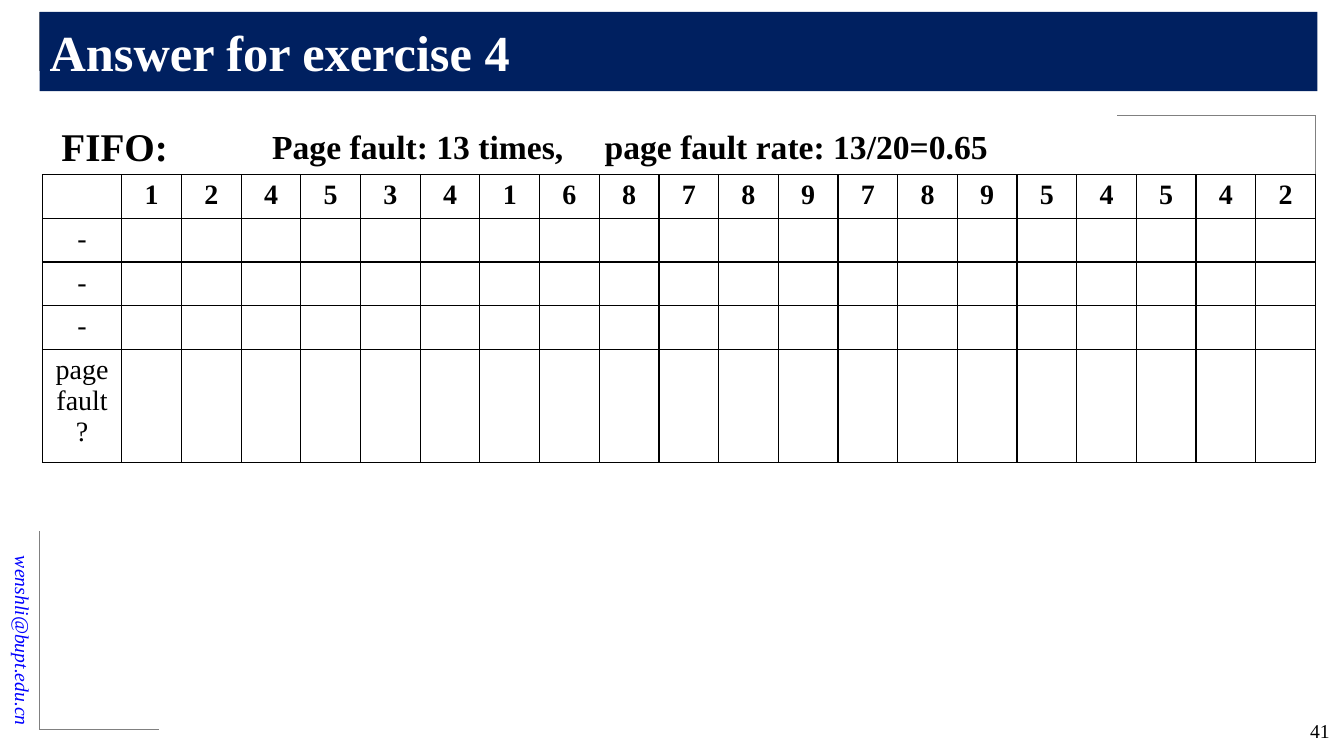
from dataclasses import dataclass

from lxml import etree
from pptx import Presentation
from pptx.dml.color import RGBColor
from pptx.enum.shapes import MSO_CONNECTOR, MSO_SHAPE
from pptx.enum.text import MSO_ANCHOR, PP_ALIGN
from pptx.oxml.ns import qn
from pptx.util import Cm, Pt

LEFT, CENTER, RIGHT = PP_ALIGN.LEFT, PP_ALIGN.CENTER, PP_ALIGN.RIGHT
TOP, MIDDLE = MSO_ANCHOR.TOP, MSO_ANCHOR.MIDDLE
STRAIGHT = MSO_CONNECTOR.STRAIGHT
RECTANGLE = MSO_SHAPE.RECTANGLE


@dataclass(frozen=True)
class Theme:
    font: str = "Times New Roman"
    navy: str = "002060"
    white: str = "FFFFFF"
    black: str = "000000"
    blue: str = "0000FF"
    gray: str = "808080"
    title: int = 36
    policy: int = 28
    result: int = 24
    cell: int = 20
    small: int = 14
    frame_line: float = 0.5
    grid_line: float = 1


THEME = Theme()
REFERENCES = "12453416878978954542"
ROW_LABELS = ["-", "-", "-", "page\vfault\v?"]


def rgb(color):
    return RGBColor.from_string(color)


def write(frame, text, size, color=THEME.black, bold=False, italic=False,
          align=LEFT, anchor=TOP, wrap=True, tab=None):
    frame.word_wrap = wrap
    frame.vertical_anchor = anchor
    paragraph = frame.paragraphs[0]
    paragraph.text = text
    paragraph.alignment = align
    if tab is not None:
        stops = etree.SubElement(paragraph._p.get_or_add_pPr(), qn("a:tabLst"))
        etree.SubElement(stops, qn("a:tab"), pos=str(tab), algn="l")
    for run in paragraph.runs:
        font = run.font
        font.name = THEME.font
        font.size = Pt(size)
        font.bold = bold
        font.italic = italic
        font.color.rgb = rgb(color)


def add_text(slide, box, text, size, **style):
    label = slide.shapes.add_textbox(*map(Cm, box))
    write(label.text_frame, text, size, **style)
    return label


def add_corner(slide, x, y, across, down):
    for end_x, end_y in ((x, y + down), (x + across, y)):
        edge = slide.shapes.add_connector(STRAIGHT, Cm(x), Cm(y), Cm(end_x), Cm(end_y))
        edge.line.color.rgb = rgb(THEME.gray)
        edge.line.width = Pt(THEME.frame_line)
        etree.SubElement(edge._element.spPr, qn("a:effectLst"))


def add_frame(slide, box):
    left, top, width, height = box
    right, bottom = left + width, top + height
    add_corner(slide, left, top, 5, 1.5)
    add_corner(slide, left, bottom, 3, -5)
    add_corner(slide, right, top + 2.6, -5, 3)


def add_title(slide, box, text):
    banner = slide.shapes.add_shape(RECTANGLE, *map(Cm, box))
    banner.shadow.inherit = False
    banner.fill.solid()
    banner.fill.fore_color.rgb = rgb(THEME.navy)
    banner.line.fill.background()
    write(banner.text_frame, text, THEME.title, color=THEME.white, bold=True, anchor=MIDDLE)


def add_margin_notes(slide, box):
    left, top, width, height = box
    email = add_text(slide, (left - 2.77, top + 14.76, 6.7, 0.86), "wenshli@bupt.edu.cn",
                     THEME.small, color=THEME.blue, italic=True, align=RIGHT, anchor=MIDDLE)
    email.rotation = 90
    add_text(slide, (left + width - 2.93, top + height - 1.07, 2.82, 0.91), "41",
             THEME.small, align=RIGHT)


def add_summary(slide, box):
    left, top, width, height = box
    add_text(slide, (left, top, 3.23, height), "FIFO:", THEME.policy,
             bold=True, anchor=MIDDLE, wrap=False)
    add_text(slide, (left + 5.31, top, width - 5.31, height),
             "Page fault: 13 times,\tpage fault rate: 13/20=0.65", THEME.result,
             bold=True, anchor=MIDDLE, tab=Cm(8.38))


def style_cell(cell):
    properties = cell._tc.get_or_add_tcPr()
    for side in ("a:lnL", "a:lnR", "a:lnT", "a:lnB"):
        border = etree.SubElement(properties, qn(side), w=str(Pt(THEME.grid_line)))
        fill = etree.SubElement(border, qn("a:solidFill"))
        etree.SubElement(fill, qn("a:srgbClr"), val=THEME.black)
    cell.fill.solid()
    cell.fill.fore_color.rgb = rgb(THEME.white)


def add_page_table(slide, box):
    left, top, width, height = box
    label_width, row_height = 2, 1.1
    rows, columns = len(ROW_LABELS) + 1, len(REFERENCES) + 1
    table = slide.shapes.add_table(rows, columns, *map(Cm, box)).table
    table.first_row = False
    table.horz_banding = False
    for index, column in enumerate(table.columns):
        column.width = Cm((width - label_width) / len(REFERENCES) if index else label_width)
    for row in table.rows:
        row.height = Cm(row_height)
    table.rows[rows - 1].height = Cm(height - row_height * (rows - 1))
    for cell in table.iter_cells():
        style_cell(cell)
    for index, page in enumerate(REFERENCES, 1):
        write(table.cell(0, index).text_frame, page, THEME.cell, bold=True, align=CENTER)
    for index, label in enumerate(ROW_LABELS, 1):
        write(table.cell(index, 0).text_frame, label, THEME.cell, align=CENTER)


def main():
    deck = Presentation()
    deck.slide_width, deck.slide_height = Cm(33.87), Cm(19.05)
    slide = deck.slides.add_slide(deck.slide_layouts[6])
    add_margin_notes(slide, (0, 0, 33.87, 19.05))
    add_frame(slide, (1, 0.3, 32.15, 18.09))
    add_title(slide, (1, 0.3, 32.2, 2), "Answer for exercise 4")
    add_summary(slide, (1.3, 2.95, 24.8, 1.45))
    add_page_table(slide, (1.07, 4.4, 32.08, 7.24))
    deck.save("out.pptx")


if __name__ == "__main__":
    main()
